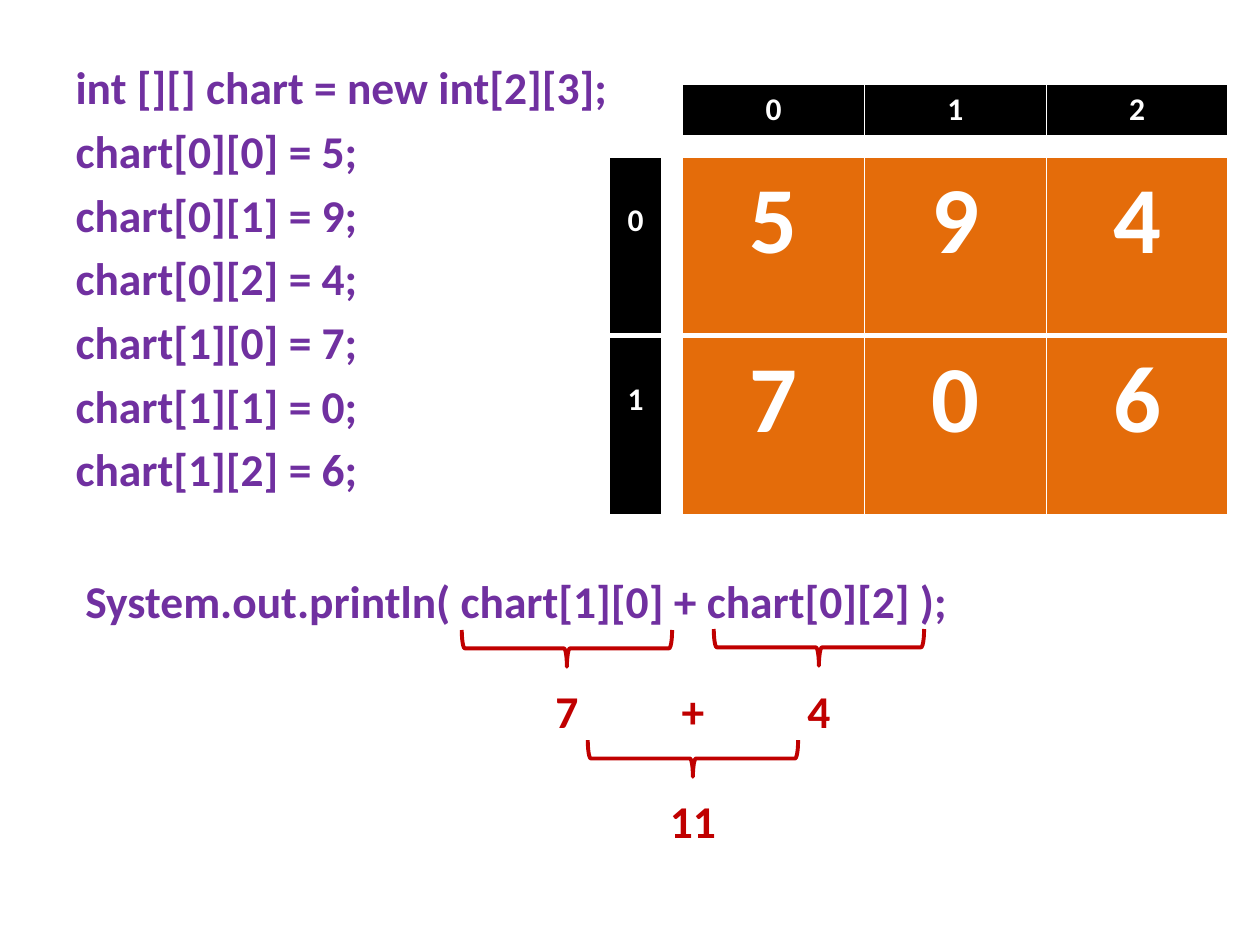
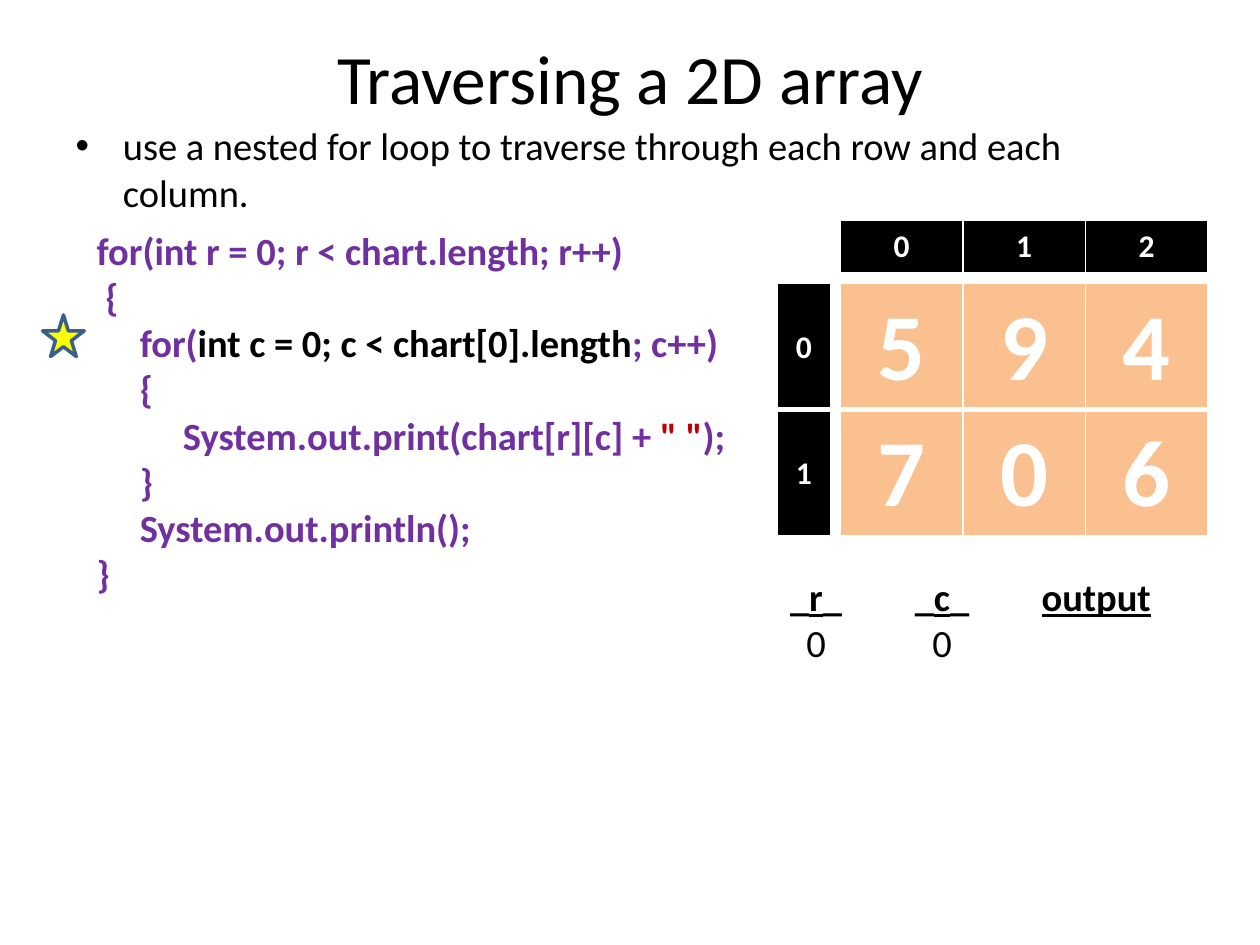
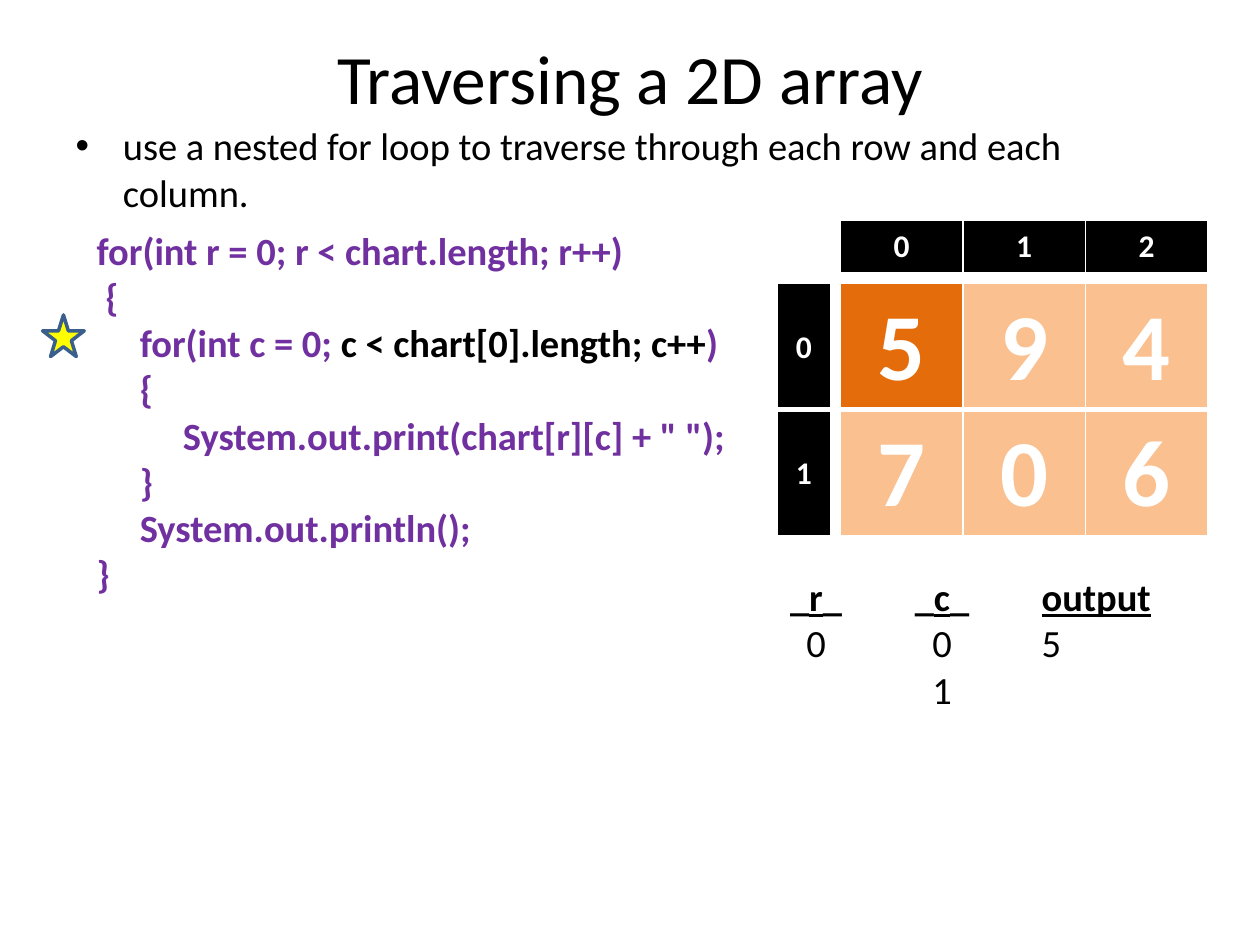
from dataclasses import dataclass

from lxml import etree
from pptx import Presentation
from pptx.dml.color import RGBColor
from pptx.enum.shapes import MSO_SHAPE
from pptx.enum.text import MSO_AUTO_SIZE, PP_ALIGN
from pptx.oxml.ns import qn
from pptx.util import Cm, Pt

CENTER = PP_ALIGN.CENTER
NO_FIT = MSO_AUTO_SIZE.NONE
GROW = MSO_AUTO_SIZE.SHAPE_TO_FIT_TEXT
STAR = MSO_SHAPE.STAR_5_POINT
BRACE = MSO_SHAPE.LEFT_BRACE

BLACK = RGBColor(0x00, 0x00, 0x00)
WHITE = RGBColor(0xFF, 0xFF, 0xFF)
PURPLE = RGBColor(0x70, 0x30, 0xA0)
RED = RGBColor(0xC0, 0x00, 0x00)
ORANGE = RGBColor(0xE4, 0x6C, 0x0A)
PEACH = RGBColor(0xFA, 0xC0, 0x90)
YELLOW = RGBColor(0xFF, 0xFF, 0x00)
STEEL = RGBColor(0x3A, 0x5F, 0x8C)

FONT = "Calibri"
CODE_SIZE = 22
DECLARE_SIZE = 26
LINE_GAP = Pt(31.7)
INSET = 0.25
INDENT = 0.87
HEADER = 1.07
CHART = [[5, 9, 4], [7, 0, 6]]


@dataclass(frozen=True)
class Box:
    """A rectangle on the slide, in centimetres."""
    left: float
    top: float
    width: float
    height: float

    def frame(self):
        """Return the four lengths python-pptx expects."""
        return Cm(self.left), Cm(self.top), Cm(self.width), Cm(self.height)


TITLE_BOX = Box(1.27, 0.76, 22.86, 1.57)
BULLET_BOX = Box(1.27, 2.34, 22.86, 2.97)
LOOP_BOX = Box(1.7, 4.45, 13.97, 8.56)
TRACE_BOX = Box(15.67, 11.43, 8.89, 3.07)
STAR_BOX = Box(0.86, 6.35, 0.84, 0.84)
SMALL_GRID_BOX = Box(15.67, 4.45, 8.68, 6.35)
DECLARE_BOX = Box(1.27, 1.07, 12.07, 9.53)
LARGE_GRID_BOX = Box(12.28, 1.69, 12.48, 8.68)
SUM_BOX = Box(1.47, 11.43, 22.23, 6.93)


def add_span(para, text, size, color, bold=False, underline=False):
    """Add one formatted run to a paragraph."""
    span = para.add_run()
    span.text = text
    font = span.font
    font.name, font.size, font.bold = FONT, Pt(size), bold
    font.color.rgb = color
    if underline:
        font.underline = True


def next_para(frame, index):
    """Return the first paragraph of a frame, or a new one after it."""
    return frame.paragraphs[0] if index == 0 else frame.add_paragraph()


def set_tabs(para, stops):
    """Give a paragraph its tab stops as pairs of position and alignment."""
    tabs = etree.SubElement(para._p.get_or_add_pPr(), qn("a:tabLst"))
    for position, align in stops:
        etree.SubElement(tabs, qn("a:tab"), pos=str(Cm(position)), algn=align)


def place(shape, box):
    """Move a placeholder into a box and return its text frame."""
    shape.left, shape.top, shape.width, shape.height = box.frame()
    shape.text_frame.auto_size = NO_FIT
    return shape.text_frame


def add_text_frame(slide, box):
    """Add a wrapping text box and return its text frame."""
    frame = slide.shapes.add_textbox(*box.frame()).text_frame
    frame.word_wrap = True
    frame.auto_size = GROW
    return frame


def add_outlined(slide, kind, box, color, weight):
    """Add an unfilled, unshadowed preset shape."""
    shape = slide.shapes.add_shape(kind, *box.frame())
    shape.shadow.inherit = False
    shape.fill.background()
    shape.line.color.rgb = color
    shape.line.width = Pt(weight)
    return shape


def set_borders(cell, top, bottom):
    """Draw white cell borders, with given top and bottom weights."""
    properties = cell._tc.get_or_add_tcPr()
    for edge, weight in (("lnL", 1), ("lnR", 1), ("lnT", top), ("lnB", bottom)):
        line = etree.SubElement(properties, qn(f"a:{edge}"), w=str(Pt(weight)))
        fill = etree.SubElement(line, qn("a:solidFill"))
        etree.SubElement(fill, qn("a:srgbClr"), val=str(WHITE))


def add_grid(slide, box, values, fills, size, top_margin=0.13):
    """Add a table of equal cells that fills the box."""
    rows, columns = len(values), len(values[0])
    table = slide.shapes.add_table(rows, columns, *box.frame()).table
    table.first_row = table.horz_banding = False
    for column in table.columns:
        column.width = Cm(box.width / columns)
    for row, line in enumerate(values):
        table.rows[row].height = Cm(box.height / rows)
        for column, value in enumerate(line):
            cell = table.cell(row, column)
            set_borders(cell, 3 if row else 1, 1 if row else 3)
            cell.fill.solid()
            cell.fill.fore_color.rgb = fills[row][column]
            cell.margin_top, cell.margin_bottom = Cm(top_margin), Cm(0)
            para = cell.text_frame.paragraphs[0]
            para.alignment = CENTER
            add_span(para, str(value), size, WHITE, bold=True)


def add_array(slide, box, offset, color, visited=()):
    """Add the array values with their row and column indexes."""
    width, height = box.width - offset, box.height - offset
    left, top = box.left + offset, box.top + offset
    rows, columns = range(len(CHART)), range(len(CHART[0]))
    fills = [[ORANGE if (row, column) in visited else color for column in columns]
             for row in rows]
    add_grid(slide, Box(left, top, width, height), CHART, fills, 54)
    add_grid(slide, Box(left, box.top, width, HEADER), [list(columns)],
             [[BLACK] * len(columns)], 18)
    add_grid(slide, Box(box.left, top, HEADER, height), [[row] for row in rows],
             [[BLACK]] * len(rows), 18, top_margin=0.9)


def add_declaration(slide, box):
    """Write the array declaration and assignments in the body placeholder."""
    frame = place(slide.placeholders[1], box)
    lines = ["int [][] chart = new int[2][3];"]
    lines += [f"chart[{row}][{column}] = {value};"
              for row, values in enumerate(CHART)
              for column, value in enumerate(values)]
    for index, line in enumerate(lines):
        para = next_para(frame, index)
        properties = para._p.get_or_add_pPr()
        properties.set("marL", "0")
        properties.set("indent", "0")
        etree.SubElement(properties, qn("a:buNone"))
        add_span(para, line, DECLARE_SIZE, PURPLE, bold=True)


def add_sum(slide, box):
    """Show the print statement and evaluate it step by step under braces."""
    frame = add_text_frame(slide, box)
    centers = [9.71, 12.25, 14.79]
    lines = [("System.out.println( chart[1][0] + chart[0][2] );", PURPLE),
             ("\t7\t+\t4", RED), ("\t\t11", RED)]
    for index, (line, color) in enumerate(lines):
        para = next_para(frame, index)
        if index:
            para.space_before = LINE_GAP
            set_tabs(para, [(center, "ctr") for center in centers])
        add_span(para, line, DECLARE_SIZE, color, bold=True)
    thickness, length = 0.74, 4.24
    for center, drop in zip(centers, (1.64, 3.86, 1.62)):
        brace_box = Box(box.left + INSET + center - thickness / 2,
                        box.top + drop - length / 2, thickness, length)
        add_outlined(slide, BRACE, brace_box, RED, 2.25).rotation = 270


def add_heading(slide):
    """Fill the title and the bullet of a traversal slide."""
    para = place(slide.shapes.title, TITLE_BOX).paragraphs[0]
    para.alignment = CENTER
    add_span(para, "Traversing a 2D array", 39.6, BLACK)
    para = place(slide.placeholders[1], BULLET_BOX).paragraphs[0]
    add_span(para, "use a nested for loop to traverse through each row and each column.",
             CODE_SIZE, BLACK)


def add_loop(slide, box, inner_loop, quote_color):
    """Write the nested loop, with the active part of the inner loop in black."""
    lines = [
        (0, [("for(int r = 0; r < chart.length; r++)", PURPLE)]),
        (0.2, [("{", PURPLE)]),
        (1, inner_loop),
        (1, [("{", PURPLE)]),
        (2, [("System.out.print(chart[r][c] + ", PURPLE), ('" "', quote_color),
             (");", PURPLE)]),
        (1, [("}", PURPLE)]),
        (1, [("System.out.println();", PURPLE)]),
        (0, [("}", PURPLE)]),
    ]
    frame = add_text_frame(slide, box)
    for index, (level, spans) in enumerate(lines):
        para = next_para(frame, index)
        para._p.get_or_add_pPr().set("marL", str(Cm(level * INDENT)))
        for text, color in spans:
            add_span(para, text, CODE_SIZE, color, bold=True)


def add_trace(slide, box, steps):
    """Write the trace of r, c and the output."""
    frame = add_text_frame(slide, box)
    header = [("\t_", False), ("r", True), ("_\t_", False), ("c", True),
              ("_\t", False), ("output", True)]
    for index in range(len(steps) + 1):
        para = next_para(frame, index)
        set_tabs(para, [(0.53, "ctr"), (3.07, "ctr"), (5.08, "l")])
        if index:
            add_span(para, steps[index - 1], CODE_SIZE, BLACK)
            continue
        for text, underline in header:
            add_span(para, text, CODE_SIZE, BLACK, True, underline)


def add_star(slide, box):
    """Mark the active line of code with a star."""
    star = add_outlined(slide, STAR, box, STEEL, 2)
    star.fill.solid()
    star.fill.fore_color.rgb = YELLOW


def build_assignment_slide(deck):
    """Build the slide that fills the array and adds two elements."""
    slide = deck.slides.add_slide(deck.slide_layouts[1])
    title = slide.shapes.title.element
    title.getparent().remove(title)
    add_declaration(slide, DECLARE_BOX)
    add_array(slide, LARGE_GRID_BOX, 1.48, ORANGE)
    add_sum(slide, SUM_BOX)


def build_traversal_slide(deck, inner_loop, quote_color, steps, visited):
    """Build one step of the array traversal."""
    slide = deck.slides.add_slide(deck.slide_layouts[1])
    add_heading(slide)
    add_loop(slide, LOOP_BOX, inner_loop, quote_color)
    add_trace(slide, TRACE_BOX, steps)
    add_star(slide, STAR_BOX)
    add_array(slide, SMALL_GRID_BOX, 1.27, PEACH, visited)


def main():
    """Build and save the deck."""
    deck = Presentation()
    deck.slide_width, deck.slide_height = Cm(25.4), Cm(19.05)
    build_assignment_slide(deck)
    build_traversal_slide(
        deck,
        [("for(", PURPLE), ("int c = 0; c < chart[0].length", BLACK), ("; c++)", PURPLE)],
        RED, ["\t0\t0"], [])
    build_traversal_slide(
        deck,
        [("for(int c = 0; ", PURPLE), ("c < chart[0].length; c++", BLACK), (")", PURPLE)],
        PURPLE, ["\t0\t0\t5", "\t\t1"], [(0, 0)])
    deck.save("out.pptx")


if __name__ == "__main__":
    main()
